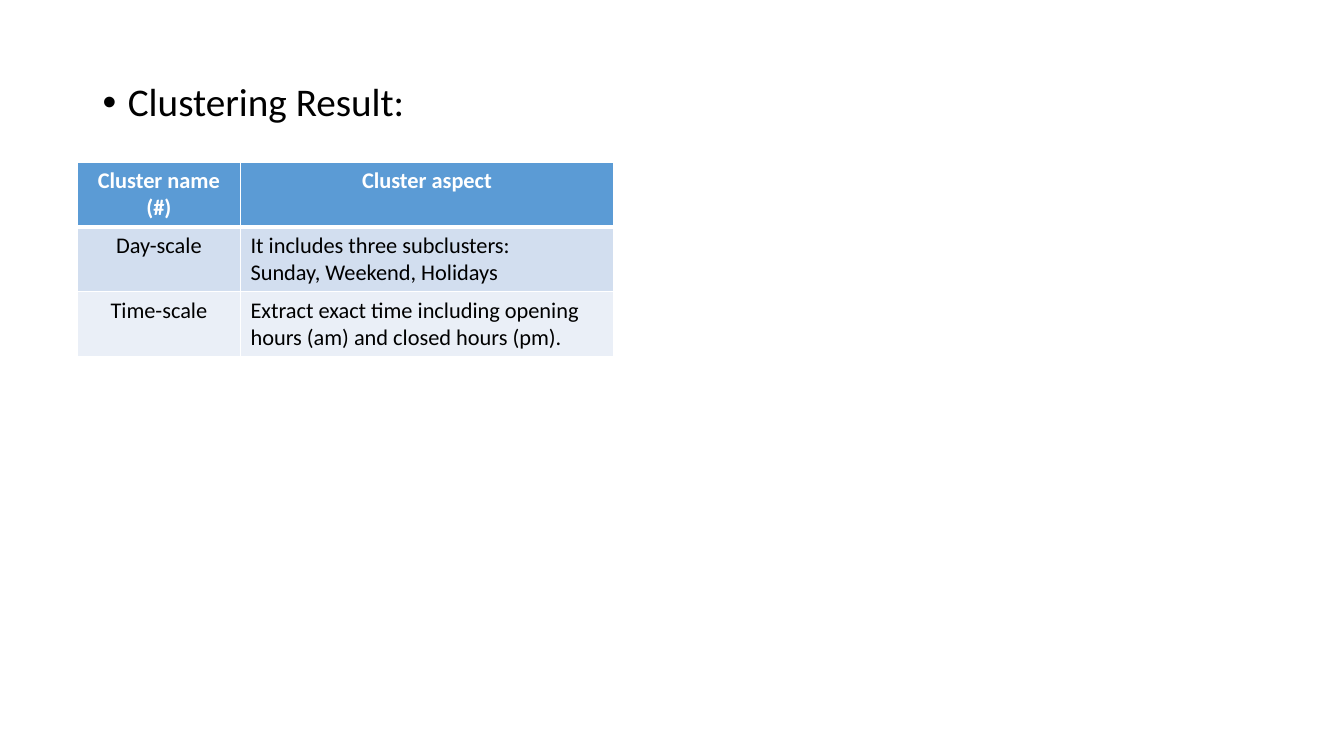
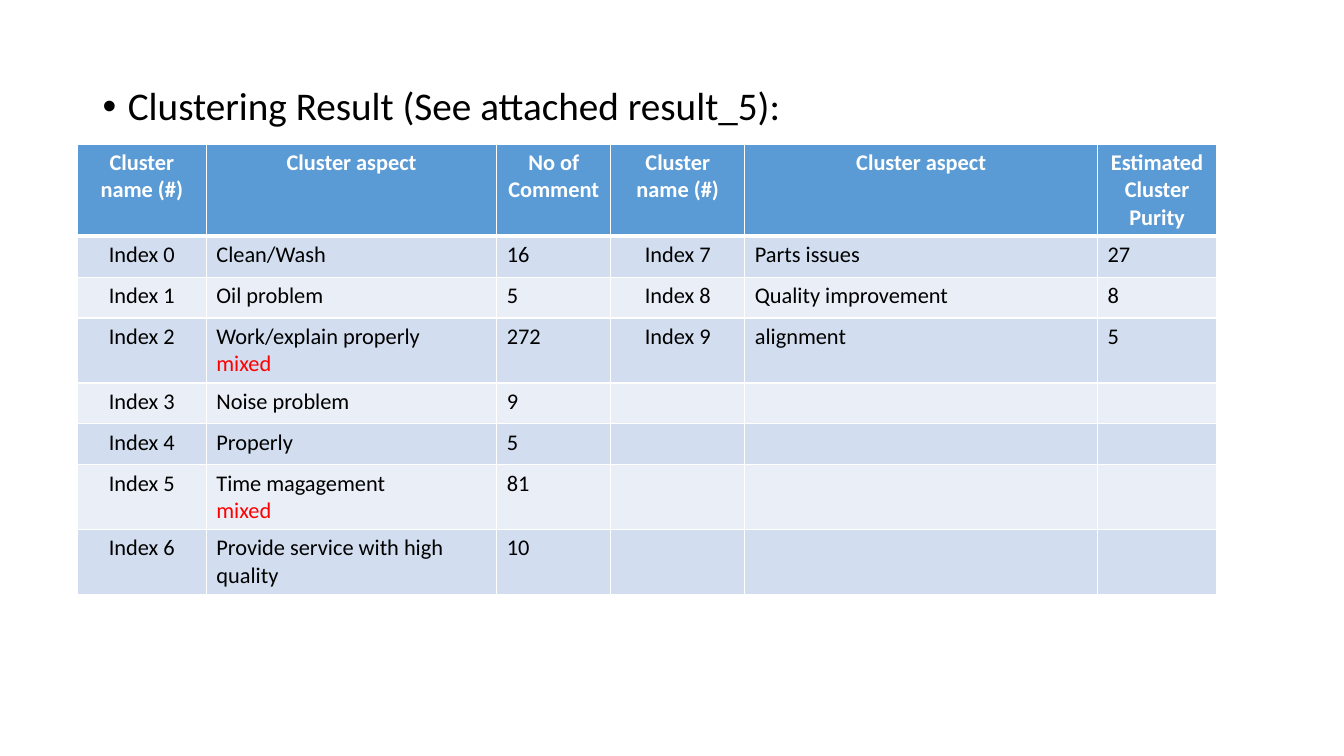
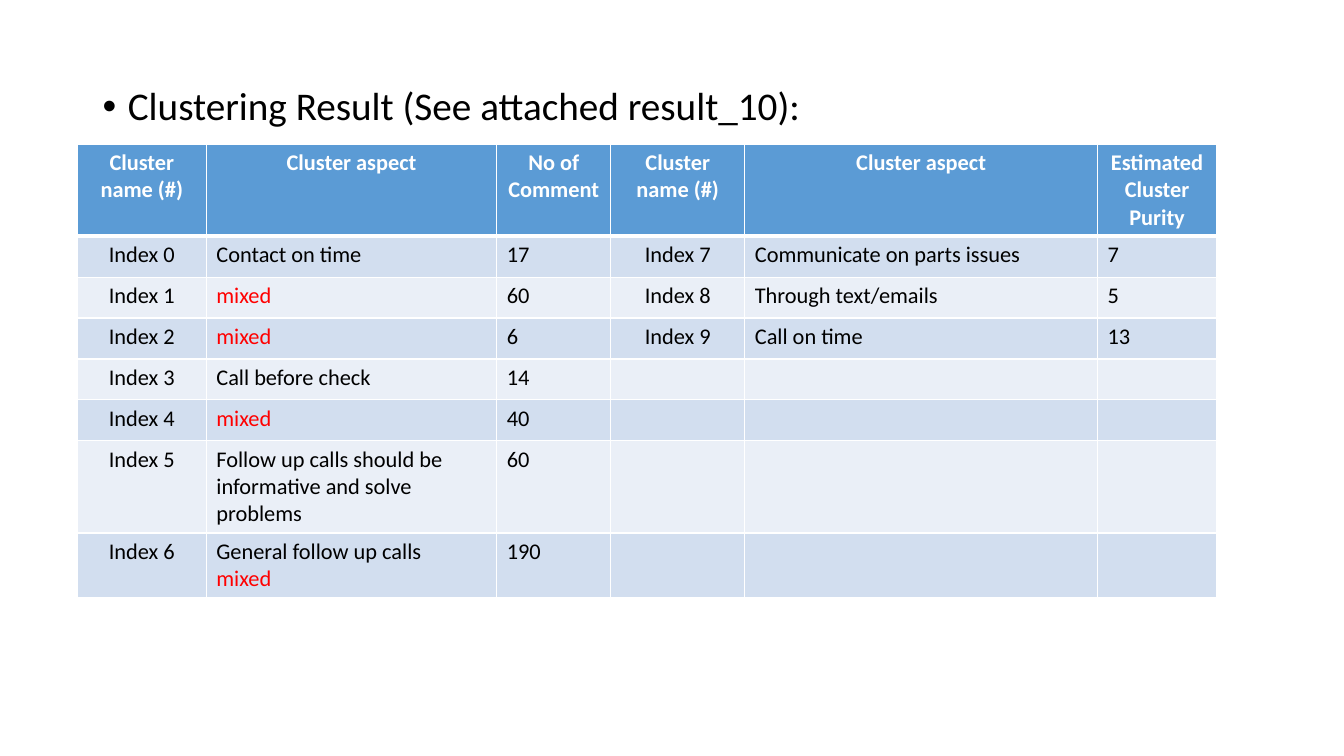
from itertools import zip_longest

from lxml.etree import SubElement
from pptx import Presentation
from pptx.dml.color import RGBColor
from pptx.enum.text import MSO_ANCHOR, MSO_AUTO_SIZE, PP_ALIGN
from pptx.oxml.ns import qn
from pptx.util import Cm, Pt

WHITE = RGBColor(0xFF, 0xFF, 0xFF)
BLACK = RGBColor(0, 0, 0)
RED = RGBColor(0xFF, 0, 0)
HEAD = RGBColor(0x5B, 0x9B, 0xD5)
BANDS = (RGBColor(0xD2, 0xDE, 0xEF), RGBColor(0xEA, 0xEF, 0xF7))
FONT = "Calibri"
SIDE = 1.95
ROW = 1.03
SPLIT = 7

SCALE_COLS = (4.11, 9.4)
SCALE_ROWS = [
    ("Cluster name (#)", "Cluster aspect"),
    ("Day-scale", "It includes three subclusters:\nSunday, Weekend, Holidays"),
    ("Time-scale", "Extract exact time including opening hours (am) and closed hours (pm)."),
]

INDEX_COLS = (3.25, 7.32, 2.87, 3.38, 8.89, 3)
INDEX_HEAD = (
    "Cluster name (#)", "Cluster aspect", "No of Comment",
    "Cluster name (#)", "Cluster aspect", "Estimated Cluster Purity",
)
FIVE = [
    ("Clean/Wash", 16),
    ("Oil problem", 5),
    ("Work/explain properly\nmixed", 272),
    ("Noise problem", 9),
    ("Properly", 5),
    ("Time magagement\nmixed", 81),
    ("Provide service with high quality", 10),
    ("Parts issues", 27),
    ("Quality improvement", 8),
    ("alignment", 5),
]
TEN = [
    ("Contact on time", 17),
    ("mixed", 60),
    ("mixed", 6),
    ("Call before check", 14),
    ("mixed", 40),
    ("Follow up calls should be informative and solve problems", 60),
    ("General follow up calls\nmixed", 190),
    ("Communicate on parts issues", 7),
    ("Through text/emails", 5),
    ("Call on time", 13),
]


def add_bullet(para):
    props = para._p.get_or_add_pPr()
    props.set("marL", str(Cm(0.64)))
    props.set("indent", str(-Cm(0.64)))
    SubElement(props, qn("a:buFont"), typeface="Arial")
    SubElement(props, qn("a:buChar"), char="•")


def write(frame, text, size=16, color=BLACK, bold=False,
          align=PP_ALIGN.LEFT, bullet=False, lines=1.0):
    frame.word_wrap = True
    for num, line in enumerate(text.split("\n")):
        para = frame.add_paragraph() if num else frame.paragraphs[0]
        if bullet:
            add_bullet(para)
        para.alignment = align
        para.line_spacing = lines
        para.space_before = Pt(0)
        para.font.size = Pt(size)
        if line:
            run = para.add_run()
            run.text = line
            run.font.name = FONT
            run.font.size = Pt(size)
            run.font.bold = bold
            run.font.color.rgb = RED if line == "mixed" else color


def add_edges(cell, top, base):
    props = cell._tc.get_or_add_tcPr()
    for side, width in (("L", 1), ("R", 1), ("T", top), ("B", base)):
        edge = SubElement(props, qn("a:ln" + side), w=str(Pt(width)))
        fill = SubElement(edge, qn("a:solidFill"))
        SubElement(fill, qn("a:srgbClr"), val=str(WHITE))


def add_head(slide, text, top):
    body = slide.placeholders[1]
    body.left, body.top = Cm(2.33), Cm(top)
    body.width, body.height = Cm(29.21), Cm(12.09)
    frame = body.text_frame
    frame.auto_size = MSO_AUTO_SIZE.NONE
    frame.vertical_anchor = MSO_ANCHOR.TOP
    write(frame, text, size=28, bullet=True, lines=0.9)


def add_grid(slide, left, top, widths, rows):
    grid = slide.shapes.add_table(
        len(rows), len(widths), Cm(left), Cm(top),
        Cm(sum(widths)), Cm(ROW * len(rows))).table
    for col, width in zip(grid.columns, widths):
        col.width = Cm(width)
    for down, row in enumerate(rows):
        grid.rows[down].height = Cm(ROW)
        for over, text in enumerate(row):
            cell = grid.cell(down, over)
            first = down == 0
            add_edges(cell, 3 if down == 1 else 1, 3 if first else 1)
            cell.fill.solid()
            cell.fill.fore_color.rgb = HEAD if first else BANDS[(down - 1) % 2]
            middle = first or over % 3 == 0
            write(cell.text_frame, text, bold=first,
                  color=WHITE if first else BLACK,
                  align=PP_ALIGN.CENTER if middle else PP_ALIGN.LEFT)


def index_rows(items):
    cells = [(f"Index {num}", name, str(count))
             for num, (name, count) in enumerate(items)]
    pairs = zip_longest(cells[:SPLIT], cells[SPLIT:], fillvalue=("",) * 3)
    return [INDEX_HEAD] + [near + far for near, far in pairs]


def add_page(deck, text, head_top, grid_top, widths, rows):
    slide = deck.slides.add_slide(deck.slide_layouts[1])
    title = slide.shapes.title._element
    title.getparent().remove(title)
    add_head(slide, text, head_top)
    add_grid(slide, SIDE, grid_top, widths, rows)


def main():
    deck = Presentation()
    deck.slide_width, deck.slide_height = Cm(33.87), Cm(19.05)
    add_page(deck, "Clustering Result:", 1.96, 4.08, SCALE_COLS, SCALE_ROWS)
    for count, items in ((5, FIVE), (10, TEN)):
        add_page(deck, f"Clustering Result (See attached result_{count}):",
                 2.06, 3.63, INDEX_COLS, index_rows(items))
    deck.save("out.pptx")


if __name__ == "__main__":
    main()
